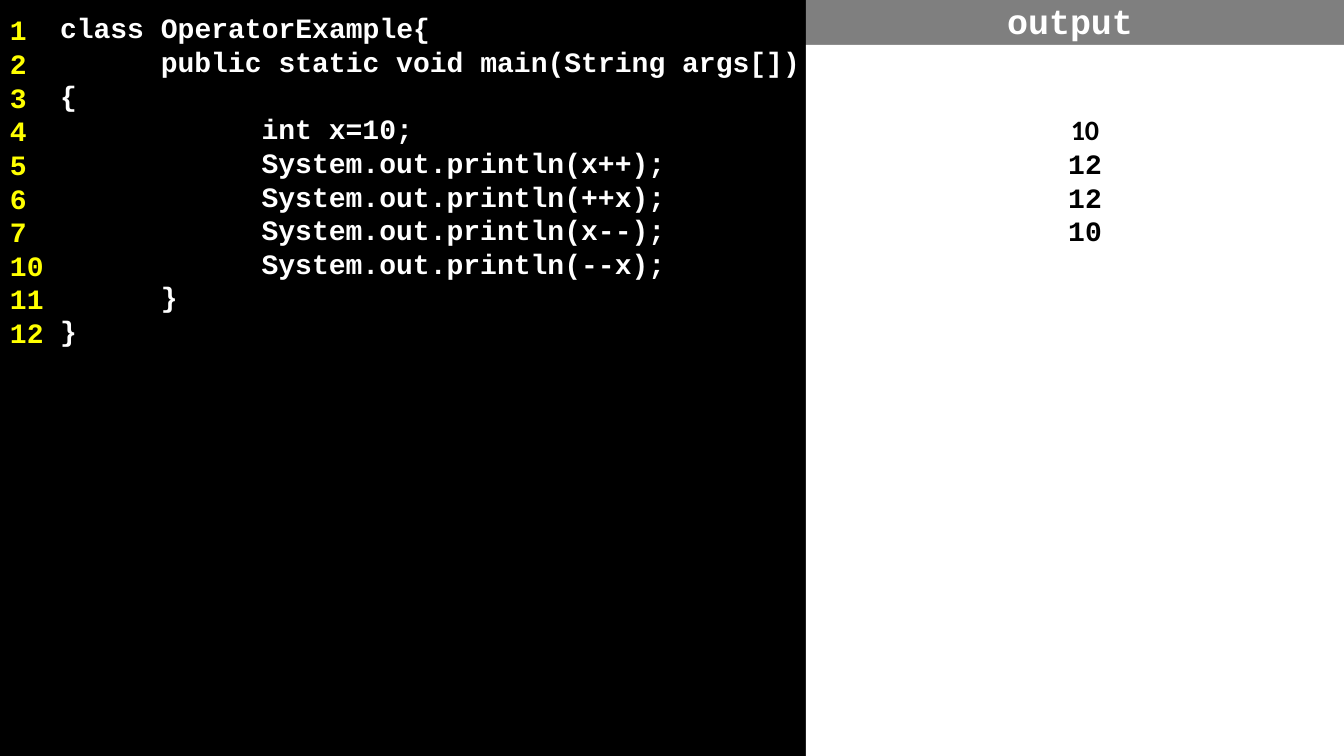
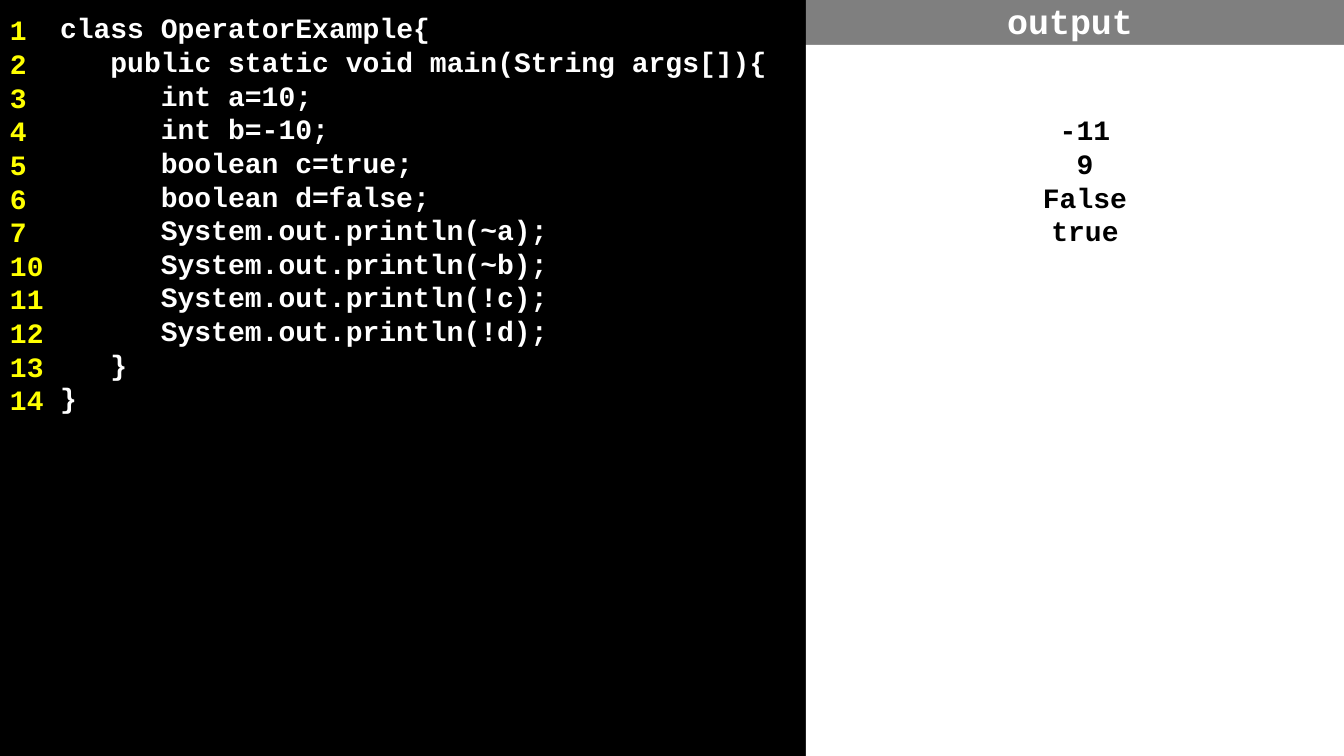
from dataclasses import dataclass

from lxml.etree import SubElement
from pptx import Presentation
from pptx.dml.color import RGBColor
from pptx.enum.shapes import MSO_SHAPE
from pptx.enum.text import MSO_ANCHOR, MSO_AUTO_SIZE, PP_ALIGN
from pptx.oxml.ns import qn
from pptx.util import Emu, Inches, Pt


@dataclass(frozen=True)
class Theme:
    """Colours, fonts and type sizes shared by the slides."""
    black: RGBColor = RGBColor(0x00, 0x00, 0x00)
    white: RGBColor = RGBColor(0xFF, 0xFF, 0xFF)
    yellow: RGBColor = RGBColor(0xFF, 0xFF, 0x00)
    grey: RGBColor = RGBColor(0x7F, 0x7F, 0x7F)
    mono: str = "Courier New"
    sans: str = "Calibri"
    body: int = 20
    heading: int = 25
    pitch: int = 24


THEME = Theme()
WIDTH, HEIGHT = 1344, 756
SPLIT, OVERLAP, BAND, GUTTER = 806, 26, 45, 58

INCREMENT_CODE = """class OperatorExample{
\tpublic static void main(String args[]){
\t\tint x=10;
\t\tSystem.out.println(x++);
\t\tSystem.out.println(++x);
\t\tSystem.out.println(x--);
\t\tSystem.out.println(--x);
\t}
}"""

NEGATION_CODE = """class OperatorExample{
   public static void main(String args[]){
\tint a=10;
\tint b=-10;
\tboolean c=true;
\tboolean d=false;
\tSystem.out.println(~a);
\tSystem.out.println(~b);
\tSystem.out.println(!c);
\tSystem.out.println(!d);
   }
}"""

SLIDES = [
    (INCREMENT_CODE, "1 2 3 4 5 6 7 10 11 12", "10 12 12 10", THEME.sans),
    (NEGATION_CODE, "1 2 3 4 5 6 7 10 11 12 13 14", "-11 9 False true", THEME.mono),
]


def px(n):
    """Turn picture units into EMU."""
    return Emu(round(n * 914400 / 100.8))


def frame(sp, insets, anchor=MSO_ANCHOR.TOP):
    """Set the insets, wrapping and anchor of a shape's text."""
    tf = sp.text_frame
    tf.word_wrap = True
    tf.auto_size = MSO_AUTO_SIZE.NONE
    tf.vertical_anchor = anchor
    tf.margin_left, tf.margin_top, tf.margin_right, tf.margin_bottom = map(px, insets)
    return tf


def add_tabs(p, count):
    """Give a paragraph left tab stops one inch apart."""
    tabs = SubElement(p._p.get_or_add_pPr(), qn("a:tabLst"))
    for i in range(1, count + 1):
        SubElement(tabs, qn("a:tab"), pos=str(Inches(i)), algn="l")


def add_run(p, text, color, font=THEME.mono, size=THEME.body):
    """Add one bold run."""
    r = p.add_run()
    r.text = text
    r.font.name, r.font.size, r.font.bold = font, Pt(size), True
    r.font.color.rgb = color


def add_panel(s, box, fill, insets, lines, color, align=PP_ALIGN.LEFT, first_font=THEME.mono):
    """Add a filled panel with evenly pitched lines of text."""
    sp = s.shapes.add_shape(MSO_SHAPE.RECTANGLE, *map(px, box))
    sp.shadow.inherit = False
    sp.fill.solid()
    sp.fill.fore_color.rgb = fill
    sp.line.fill.background()
    tf = frame(sp, insets)
    for i, line in enumerate(lines):
        p = tf.add_paragraph() if i else tf.paragraphs[0]
        p.alignment = align
        p.line_spacing = Pt(THEME.pitch)
        if "\t" in line:
            add_tabs(p, line.count("\t"))
        add_run(p, line, color, THEME.mono if i else first_font)


def add_code(s, box, code, numbers):
    """Add the code panel with its line-number gutter."""
    x, y, w, h = box
    add_panel(s, (x, y, w + OVERLAP, h), THEME.black, (60, 11, OVERLAP, 0),
              code.splitlines(), THEME.white)
    add_panel(s, (x, y + 8, GUTTER, h - 8), THEME.black, (10, 5, 0, 0),
              numbers.split(), THEME.yellow)


def add_output(s, box, results, first_font):
    """Add the output panel under its title band."""
    x, y, w, h = box
    title = s.shapes.title
    title.left, title.top, title.width, title.height = map(px, (x, y, w, BAND))
    title.fill.solid()
    title.fill.fore_color.rgb = THEME.grey
    p = frame(title, (0, 5, 10, 10), MSO_ANCHOR.MIDDLE).paragraphs[0]
    p.alignment = PP_ALIGN.CENTER
    add_run(p, "output", THEME.white, size=THEME.heading)
    s.shapes._spTree.append(title._element)
    add_panel(s, (x, y + BAND, w, h - BAND), THEME.white, (20, 68, 0, 0),
              results.split(), THEME.black, PP_ALIGN.CENTER, first_font)


def add_example(prs, code, numbers, results, first_font):
    """Add a slide with code on the left and its output on the right."""
    s = prs.slides.add_slide(prs.slide_layouts[5])
    add_code(s, (0, 0, SPLIT, HEIGHT), code, numbers)
    add_output(s, (SPLIT, 0, WIDTH - SPLIT, HEIGHT), results, first_font)


def main():
    """Build and save the presentation."""
    prs = Presentation()
    prs.slide_width, prs.slide_height = px(WIDTH), px(HEIGHT)
    for example in SLIDES:
        add_example(prs, *example)
    prs.save("out.pptx")


if __name__ == "__main__":
    main()
